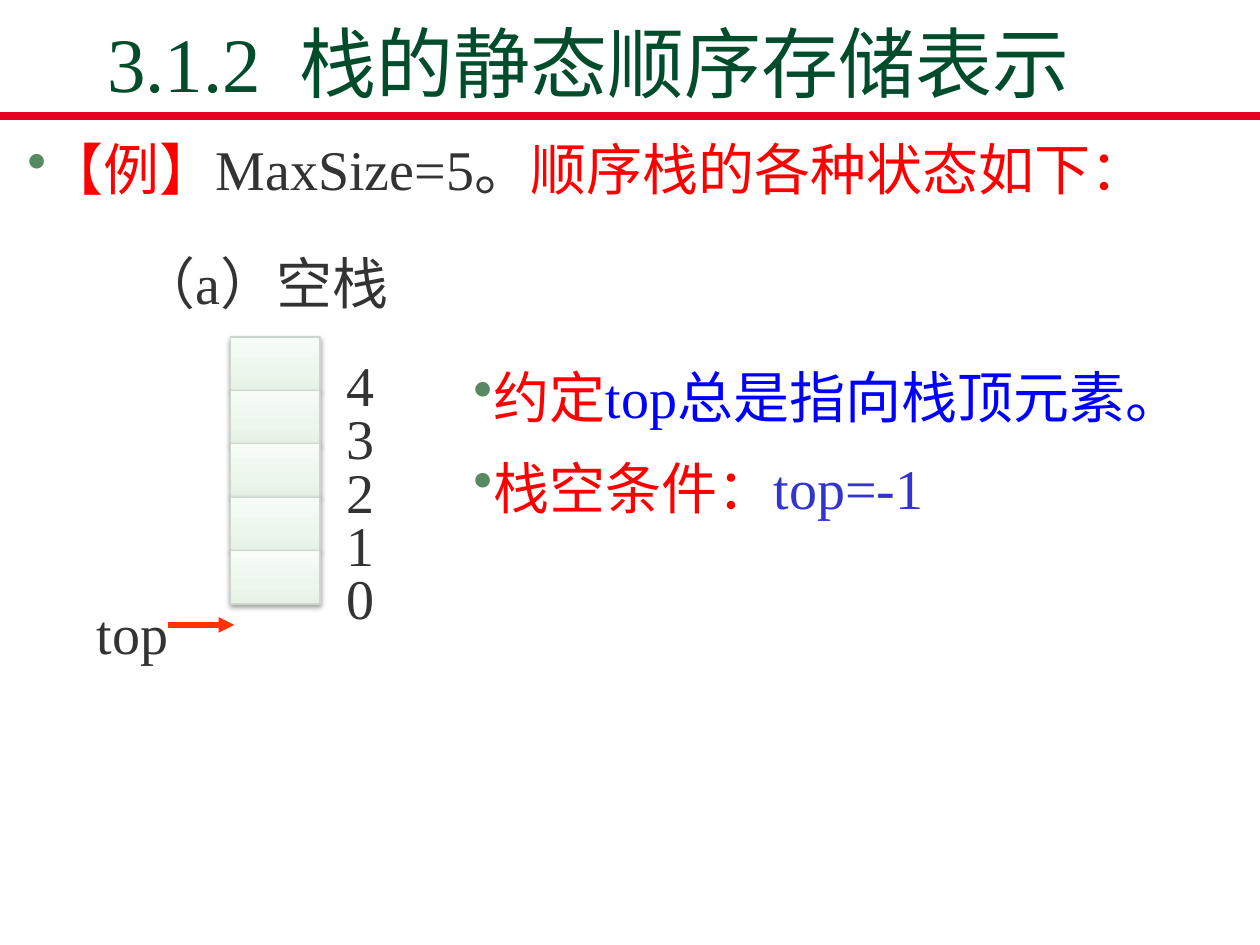
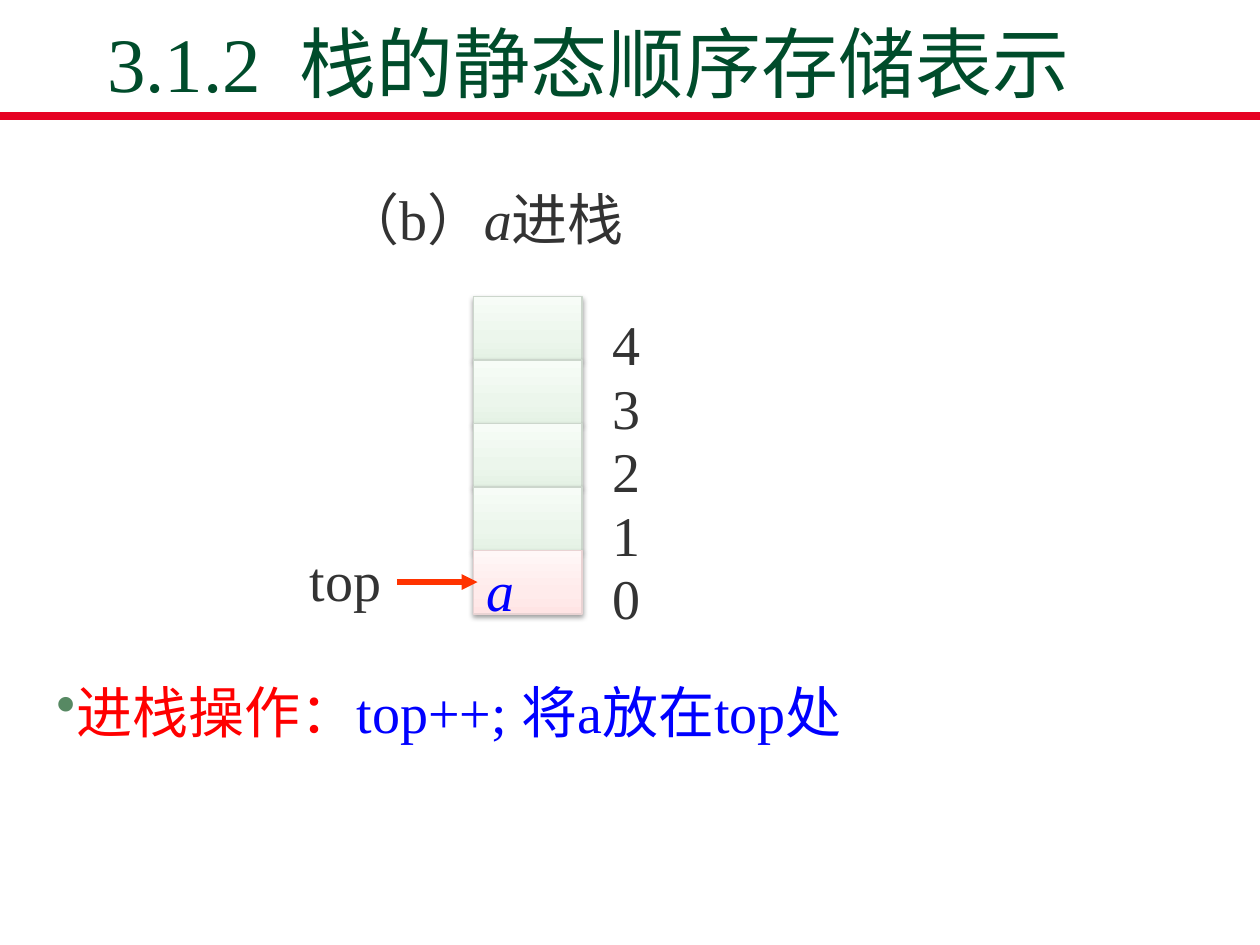
from copy import deepcopy

from lxml.etree import SubElement
from pptx import Presentation
from pptx.dml.color import RGBColor
from pptx.enum.shapes import MSO_CONNECTOR as Link, MSO_SHAPE as Shape
from pptx.enum.text import MSO_ANCHOR as Anchor, MSO_AUTO_SIZE as AutoSize, PP_ALIGN as Align
from pptx.oxml.ns import qn
from pptx.util import Inches, Pt

COLORS = {
    "title": "004C2B", "band": "E60223", "ink": "333333", "red": "FF0000",
    "blue": "0000FF", "violet": "3333CD", "bullet": "578963", "arrow": "FF3300",
    "shadow": "000000", "free_line": "CCD6CC", "used_line": "E9D3D3",
}
GRADIENTS = {
    "free": ("E5F2E5", "ECF6EC", "F7FCF7"),
    "used": ("FFE4E4", "FFEBEB", "FFF7F7"),
}
STOPS = (0, 0.35, 1)
COLUMNS, ROWS = 100, 75
TITLE = "3.1.2  栈的静态顺序存储表示"


def rgb(name):
    return RGBColor.from_string(COLORS[name])


class Deck:
    font, size, spacing = "Times New Roman", 32, 1.2

    def __init__(self):
        self.prs = Presentation()
        self.prs.slide_width, self.prs.slide_height = Inches(10), Inches(7.5)
        self.col = self.prs.slide_width / COLUMNS
        self.row = self.prs.slide_height / ROWS

    def at(self, x, y, *rest):
        units = (self.col, self.row) * 2
        return [round(v * u) for v, u in zip((x, y, *rest), units)]

    def slide(self, title):
        self.s = self.prs.slides.add_slide(self.prs.slide_layouts[5])
        self.ungroup()
        self.line(0, 9.2, COLUMNS, 9.2, "band", 4.5)
        sp = self.s.shapes.title
        sp.left, sp.top, sp.width, sp.height = self.at(7.5, 2.6, 85, 6.5)
        tf = sp.text_frame
        tf.text = title
        tf.word_wrap, tf.auto_size = True, AutoSize.NONE
        tf.vertical_anchor = Anchor.BOTTOM
        p = tf.paragraphs[0]
        p.alignment = Align.LEFT
        self.style(p.runs[0], "title", size=44)

    def group(self):
        self.shapes = self.s.shapes.add_group_shape().shapes

    def ungroup(self):
        self.shapes = self.s.shapes

    def style(self, r, color, italic=False, size=None):
        r.font.name, r.font.size = self.font, Pt(size or self.size)
        r.font.italic = italic
        r.font.color.rgb = rgb(color)

    def fill_text(self, tf, paragraphs, bullet=False):
        for i, runs in enumerate(paragraphs):
            p = tf.add_paragraph() if i else tf.paragraphs[0]
            if bullet:
                pPr = p._p.get_or_add_pPr()
                SubElement(SubElement(pPr, qn("a:buClr")), qn("a:srgbClr"), val=COLORS["bullet"])
                SubElement(pPr, qn("a:buChar"), char="•")
            p.alignment, p.line_spacing = Align.LEFT, self.spacing
            if i:
                p.space_before = Pt(6)
            for text, *look in runs:
                r = p.add_run()
                r.text = text
                self.style(r, *look)

    def text(self, x, y, w, h, *paragraphs, bullet=False):
        tf = self.shapes.add_textbox(*self.at(x, y, w, h)).text_frame
        tf.word_wrap, tf.auto_size = True, AutoSize.SHAPE_TO_FIT_TEXT
        self.fill_text(tf, paragraphs, bullet)

    def line(self, x1, y1, x2, y2, color, width, arrow=False):
        sp = self.shapes.add_connector(Link.STRAIGHT, *self.at(x1, y1, x2, y2))
        sp.line.color.rgb, sp.line.width = rgb(color), Pt(width)
        if arrow:
            SubElement(sp.line._get_or_add_ln(), qn("a:tailEnd"), type="triangle")
        SubElement(sp._element.spPr, qn("a:effectLst"))

    def cell(self, x, y, w, h, state, content=None):
        sp = self.shapes.add_shape(Shape.RECTANGLE, *self.at(x, y, w, h))
        sp.fill.gradient()
        sp.fill.gradient_angle = 90
        first = sp.fill.gradient_stops[0]._gs
        first.addnext(deepcopy(first))
        for stop, position, color in zip(sp.fill.gradient_stops, STOPS, GRADIENTS[state]):
            stop.position, stop.color.rgb = position, RGBColor.from_string(color)
        sp.line.color.rgb, sp.line.width = rgb(state + "_line"), Pt(0.75)
        self.drop_shadow(sp)
        if content:
            tf = sp.text_frame
            tf.word_wrap, tf.vertical_anchor = False, Anchor.MIDDLE
            self.fill_text(tf, [[(content, "blue", True)]])

    def drop_shadow(self, sp):
        sp.shadow.inherit = False
        effects = sp._element.spPr.find(qn("a:effectLst"))
        shadow = SubElement(effects, qn("a:outerShdw"), blurRad=str(Pt(3.1)),
                            dist=str(Pt(1.6)), dir="5400000", rotWithShape="0")
        color = SubElement(shadow, qn("a:srgbClr"), val=COLORS["shadow"])
        SubElement(color, qn("a:alpha"), val="38000")

    def stack(self, x, w, h, label_x, label_w, items=(), bottom=43.7, capacity=5):
        for i in reversed(range(capacity)):
            y = bottom - i * h
            content = items[i] if i < len(items) else None
            self.cell(x, y, w, h, "used" if content else "free", content)
            self.text(label_x, y - 0.5, label_w, 7.5, [(str(i), "ink")])

    def top_pointer(self, x, y, w, start, end, tip_y):
        self.line(start, tip_y, end, tip_y, "arrow", 3, arrow=True)
        self.text(x, y, w, 7.5, [("top", "ink")])


def empty_stack(deck):
    deck.slide(TITLE)
    deck.text(1.2, 9.1, 97.6, 7.5,
              [("【例】", "red"), ("MaxSize=5。", "ink"), ("顺序栈的各种状态如下：", "red")],
              bullet=True)
    deck.group()
    deck.stack(18.3, 7.1, 4.24, 26.5, 5.3)
    deck.top_pointer(6.7, 45.9, 8.3, 13.3, 18.6, 49.6)
    deck.text(10.1, 18.2, 23.5, 7.5, [("（a）空栈", "ink")])
    deck.ungroup()
    deck.text(36.6, 27.2, 59.6, 15,
              [("约定", "red"), ("top总是指向栈顶元素。", "blue")],
              [("栈空条件：", "red"), ("top=-1", "violet")],
              bullet=True)


def push_a(deck):
    deck.slide(TITLE)
    deck.group()
    deck.stack(37.6, 8.6, 5.04, 47.6, 6.4, items=["a"])
    deck.top_pointer(23.6, 41.7, 10.2, 31.5, 37.9, 46.2)
    deck.text(26.3, 13.1, 31.1, 7.5,
              [("（b）", "ink"), ("a", "ink", True), ("进栈", "ink")])
    deck.ungroup()
    deck.text(3.5, 52.2, 94.4, 7.5,
              [("进栈操作：", "red"), ("top++; 将a放在top处", "blue")],
              bullet=True)


def main():
    deck = Deck()
    empty_stack(deck)
    push_a(deck)
    deck.prs.save("out.pptx")


if __name__ == "__main__":
    main()
